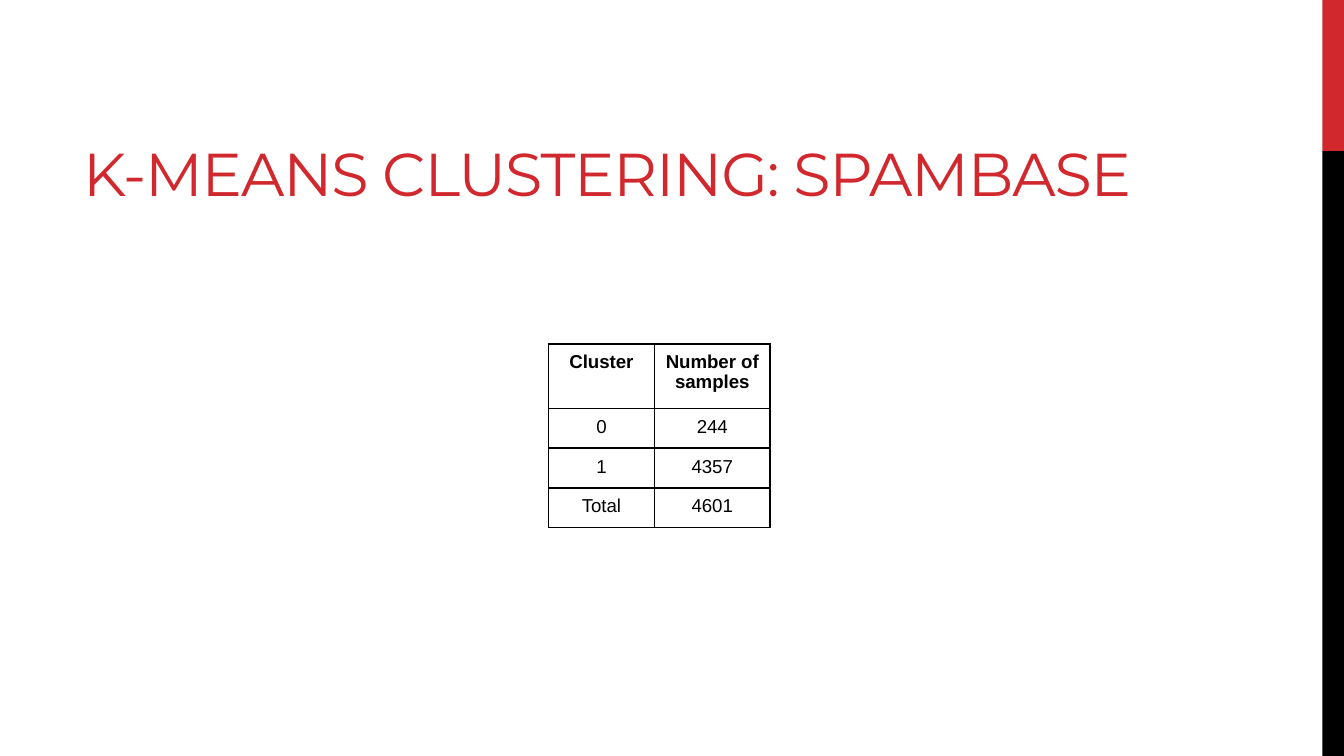
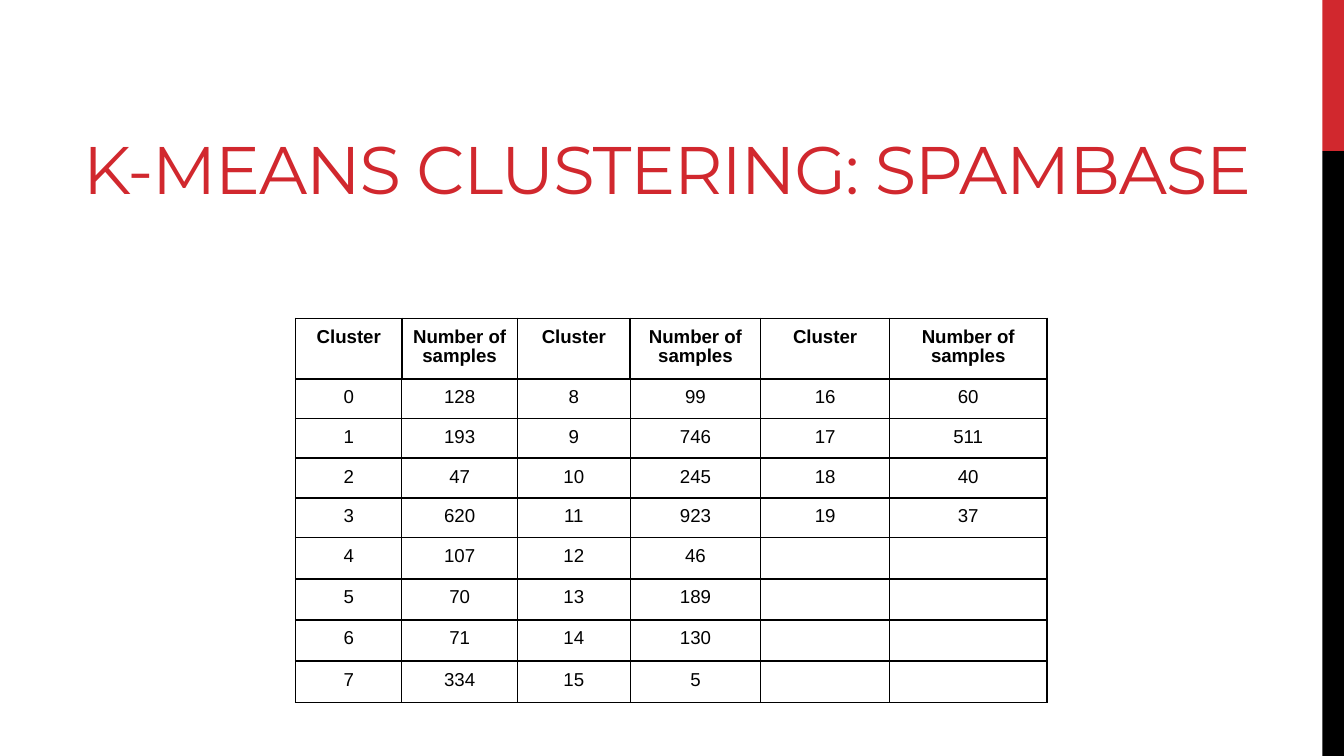
import pptx
import pptx.dml.color
import pptx.enum.shapes
import pptx.enum.text
import pptx.oxml.ns
import pptx.util
from lxml import etree
from pptx.util import Inches

RED, BLACK = "D1282E", "000000"
TITLE = "K-MEANS CLUSTERING: SPAMBASE"
SLIDE_WIDTH = 10
SLIDE_HEIGHT = SLIDE_WIDTH * 9 / 16
BAND_WIDTH, RED_SHARE = 0.16, 0.2
TITLE_BOX = (0.52, 0.81, 8.99, 0.84)
ROW_HEIGHT, CELL_MARGIN, CELL_SIZE = 0.29, 0.07, 10
CELL_LINE_SPACING = 0.93
THICK, THIN = 1, 0.75
HEADINGS = ["Cluster", "Number of samples"]

TWO_CLUSTERS = [HEADINGS, [0, 244], [1, 4357], ["Total", 4601]]
TWENTY_COUNTS = [128, 193, 47, 620, 107, 70, 71, 334,
                 99, 746, 245, 923, 46, 189, 130, 5,
                 60, 511, 40, 37]


def color(value):
    return pptx.dml.color.RGBColor.from_string(value)


def set_values(target, values):
    for name, value in values.items():
        setattr(target, name, value)


def style_font(font, name, size, fill, bold=False):
    set_values(font, {"name": name, "size": pptx.util.Pt(size), "bold": bold})
    font.color.rgb = color(fill)


def set_margins(target, margin):
    set_values(target, {f"margin_{side}": Inches(margin)
                        for side in ("left", "top", "right", "bottom")})


def add_side_band(slide, left, top, width, height):
    split = height * RED_SHARE
    parts = [(top, split, RED), (top + split, height - split, BLACK)]
    for part_top, part_height, fill in parts:
        shape = slide.shapes.add_shape(
            pptx.enum.shapes.MSO_SHAPE.RECTANGLE,
            *map(Inches, (left, part_top, width, part_height)))
        shape.shadow.inherit = False
        shape.fill.solid()
        shape.fill.fore_color.rgb = color(fill)
        shape.line.fill.background()


def add_title(slide, box, size):
    frame = slide.shapes.add_textbox(*map(Inches, box)).text_frame
    set_values(frame, {"word_wrap": True,
                       "vertical_anchor": pptx.enum.text.MSO_ANCHOR.BOTTOM})
    set_margins(frame, 0.1)
    run = frame.paragraphs[0].add_run()
    run.text = TITLE
    style_font(run.font, "Montserrat", size, RED)
    run.font._element.set("spc", "-60")


def add_borders(cell, widths):
    """Draw black borders; widths are points for left, right, top and bottom."""
    properties = cell._tc.get_or_add_tcPr()
    for side, width in zip("LRTB", widths):
        line = etree.SubElement(properties, pptx.oxml.ns.qn(f"a:ln{side}"),
                                w=str(pptx.util.Pt(width)))
        fill = etree.SubElement(line, pptx.oxml.ns.qn("a:solidFill"))
        etree.SubElement(fill, pptx.oxml.ns.qn("a:srgbClr"), val=BLACK)


def fill_cell(cell, value, bold):
    set_margins(cell, CELL_MARGIN)
    cell.fill.background()
    paragraph = cell.text_frame.paragraphs[0]
    set_values(paragraph, {"alignment": pptx.enum.text.PP_ALIGN.CENTER,
                           "line_spacing": CELL_LINE_SPACING})
    if value == "":
        etree.SubElement(paragraph._p, pptx.oxml.ns.qn("a:endParaRPr"),
                         sz=str(CELL_SIZE * 100))
        return
    run = paragraph.add_run()
    run.text = str(value)
    style_font(run.font, "Arial", CELL_SIZE, BLACK, bold)


def add_cluster_table(slide, left, top, column_widths, header_height, rows, right_edge):
    """Place a table whose header and horizontal rules are thick."""
    heights = [header_height] + [ROW_HEIGHT] * (len(rows) - 1)
    box = (left, top, sum(column_widths), sum(heights))
    table = slide.shapes.add_table(len(rows), len(column_widths), *map(Inches, box)).table
    set_values(table, {"first_row": False, "horz_banding": False})
    for column, width in zip(table.columns, column_widths):
        column.width = Inches(width)
    verticals = [THICK] + [THIN] * (len(column_widths) - 1) + [right_edge]
    for i, (values, height) in enumerate(zip(rows, heights)):
        table.rows[i].height = Inches(height)
        for j, value in enumerate(values):
            cell = table.cell(i, j)
            sides = [THICK, THICK] if i == 0 else verticals[j:j + 2]
            add_borders(cell, [*sides, THICK, THICK])
            fill_cell(cell, value, bold=i == 0)


def wrap_counts(counts, row_count):
    """Number the counts and run them down side-by-side column pairs."""
    pairs = list(enumerate(counts))
    pairs += [("", "")] * (-len(pairs) % row_count)
    rows = [[value for pair in pairs[i::row_count] for value in pair]
            for i in range(row_count)]
    return [HEADINGS * (len(pairs) // row_count)] + rows


def add_cluster_slide(presentation, title_size, **table):
    slide = presentation.slides.add_slide(presentation.slide_layouts[6])
    add_side_band(slide, SLIDE_WIDTH - BAND_WIDTH, 0, BAND_WIDTH, SLIDE_HEIGHT)
    add_title(slide, TITLE_BOX, title_size)
    add_cluster_table(slide, **table)


def main():
    presentation = pptx.Presentation()
    set_values(presentation, {"slide_width": Inches(SLIDE_WIDTH),
                              "slide_height": Inches(SLIDE_HEIGHT)})
    add_cluster_slide(presentation, 32.4, left=4.08, top=2.56,
                      column_widths=[0.79, 0.86], header_height=0.48,
                      rows=TWO_CLUSTERS, right_edge=THIN)
    add_cluster_slide(presentation, 36, left=2.2, top=2.37,
                      column_widths=[0.79, 0.86, 0.84, 0.97, 0.96, 1.17],
                      header_height=0.44, rows=wrap_counts(TWENTY_COUNTS, 8),
                      right_edge=THICK)
    presentation.save("out.pptx")


if __name__ == "__main__":
    main()
